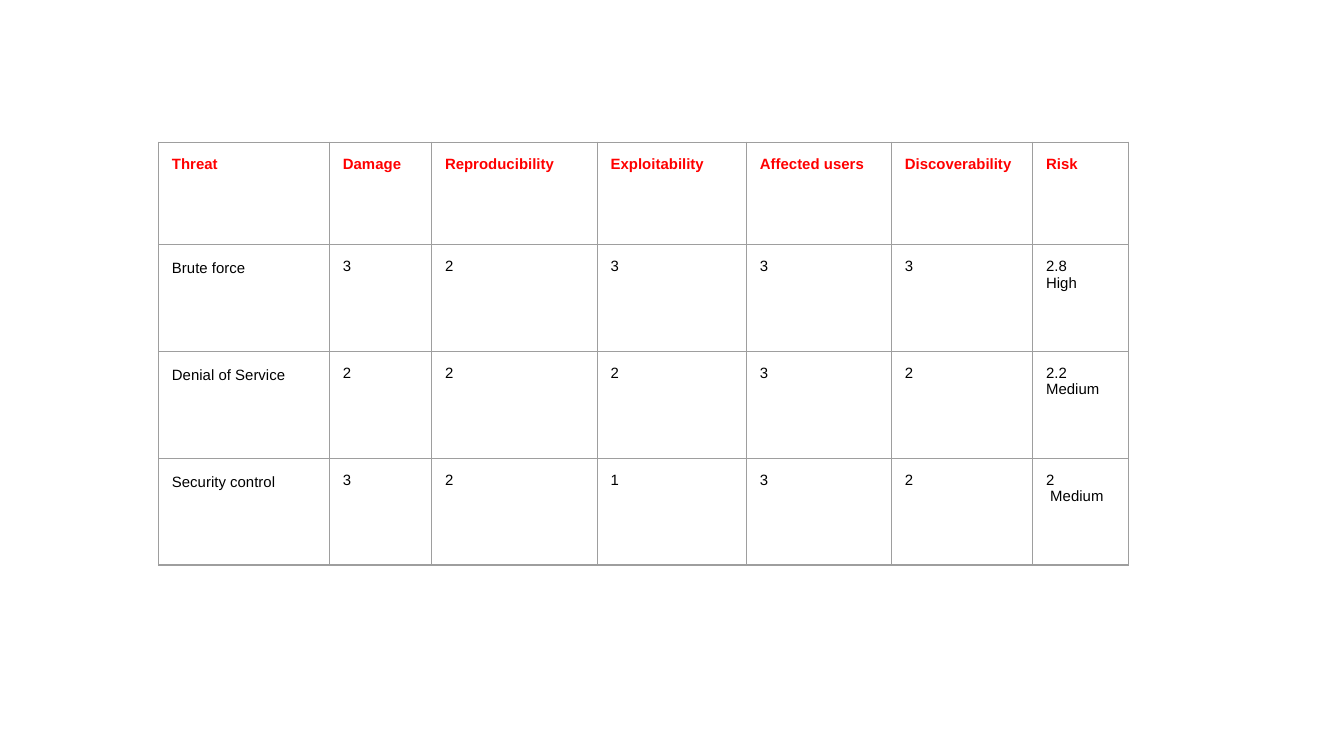
from pptx import Presentation
from pptx.dml.color import RGBColor
from pptx.enum.text import MSO_ANCHOR
from pptx.oxml import parse_xml
from pptx.oxml.ns import nsdecls
from pptx.util import Cm, Pt

HEADER = ["Threat", "Damage", "Reproducibility", "Exploitability",
          "Affected users", "Discoverability", "Risk"]
THREATS = [
    ["Brute force ", "3", "2", "3", "3", "3", "2.8 \nHigh"],
    ["Denial of Service ", "2", "2", "2", "3", "2", "2.2\nMedium"],
    ["Security control ", "3", "2", "1", "3", "2", "2\n Medium"],
]
COL_WIDTHS = [3.23, 1.93, 3.13, 2.82, 2.74, 2.67, 1.81]
HEADER_HEIGHT, ROW_HEIGHT = 1.93, 2.02
LEFT, TOP, PADDING = 3, 2.69, 0.25

THEME = {
    "border": "9E9E9E",
    "border_width": Pt(0.75),
    "header": {"name": "Arial", "size": Pt(8), "bold": True,
               "color": RGBColor(0xFF, 0, 0)},
    "body": {"name": "Arial", "size": Pt(8), "bold": False,
             "color": RGBColor(0, 0, 0)},
}
CELL_FORMAT = {
    "margin_left": Cm(PADDING), "margin_right": Cm(PADDING),
    "margin_top": Cm(PADDING), "margin_bottom": Cm(PADDING),
    "vertical_anchor": MSO_ANCHOR.TOP,
}


def set_font(font, style):
    """Apply a theme text style to a font."""
    for name, value in style.items():
        if name == "color":
            font.color.rgb = value
        else:
            setattr(font, name, value)


def set_borders(cell):
    """Draw the four cell borders, which must come before the fill."""
    tcPr = cell._tc.get_or_add_tcPr()
    for i, side in enumerate(("lnL", "lnR", "lnT", "lnB")):
        tcPr.insert(i, parse_xml(
            f'<a:{side} {nsdecls("a")} w="{THEME["border_width"]}">'
            f'<a:solidFill><a:srgbClr val="{THEME["border"]}"/></a:solidFill>'
            f'</a:{side}>'))


def fill_cell(cell, text, style, spacing):
    """Write and format one table cell."""
    cell.text = text
    for name, value in CELL_FORMAT.items():
        setattr(cell, name, value)
    for p in cell.text_frame.paragraphs:
        p.line_spacing = spacing
        for r in p.runs:
            set_font(r.font, style)
    cell.fill.background()
    set_borders(cell)


def add_risk_table(s):
    """Add the threat rating table to the slide."""
    rows = [HEADER] + THREATS
    heights = [HEADER_HEIGHT] + [ROW_HEIGHT] * len(THREATS)
    table = s.shapes.add_table(
        len(rows), len(HEADER), Cm(LEFT), Cm(TOP),
        Cm(sum(COL_WIDTHS)), Cm(sum(heights))).table
    table.horz_banding = False
    table.first_row = False
    for column, width in zip(table.columns, COL_WIDTHS):
        column.width = Cm(width)
    for i, (row, height) in enumerate(zip(rows, heights)):
        table.rows[i].height = Cm(height)
        style = THEME["body" if i else "header"]
        for j, text in enumerate(row):
            is_threat_name = i > 0 and j == 0
            fill_cell(table.cell(i, j), text, style,
                      1.15 if is_threat_name else 1.0)


prs = Presentation()
prs.slide_width, prs.slide_height = Cm(25.4), Cm(14.29)
s = prs.slides.add_slide(prs.slide_layouts[6])
add_risk_table(s)
prs.save("out.pptx")
